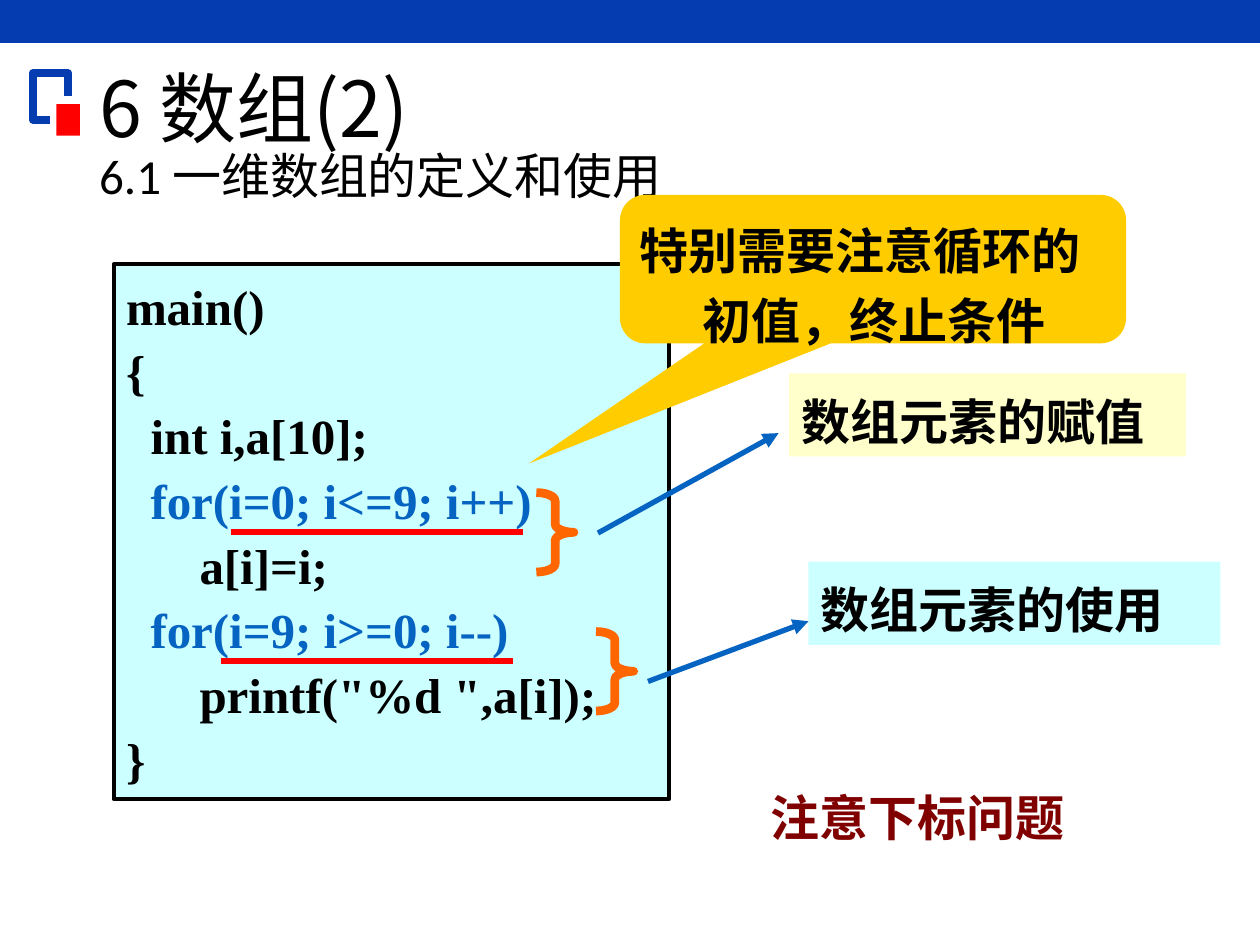
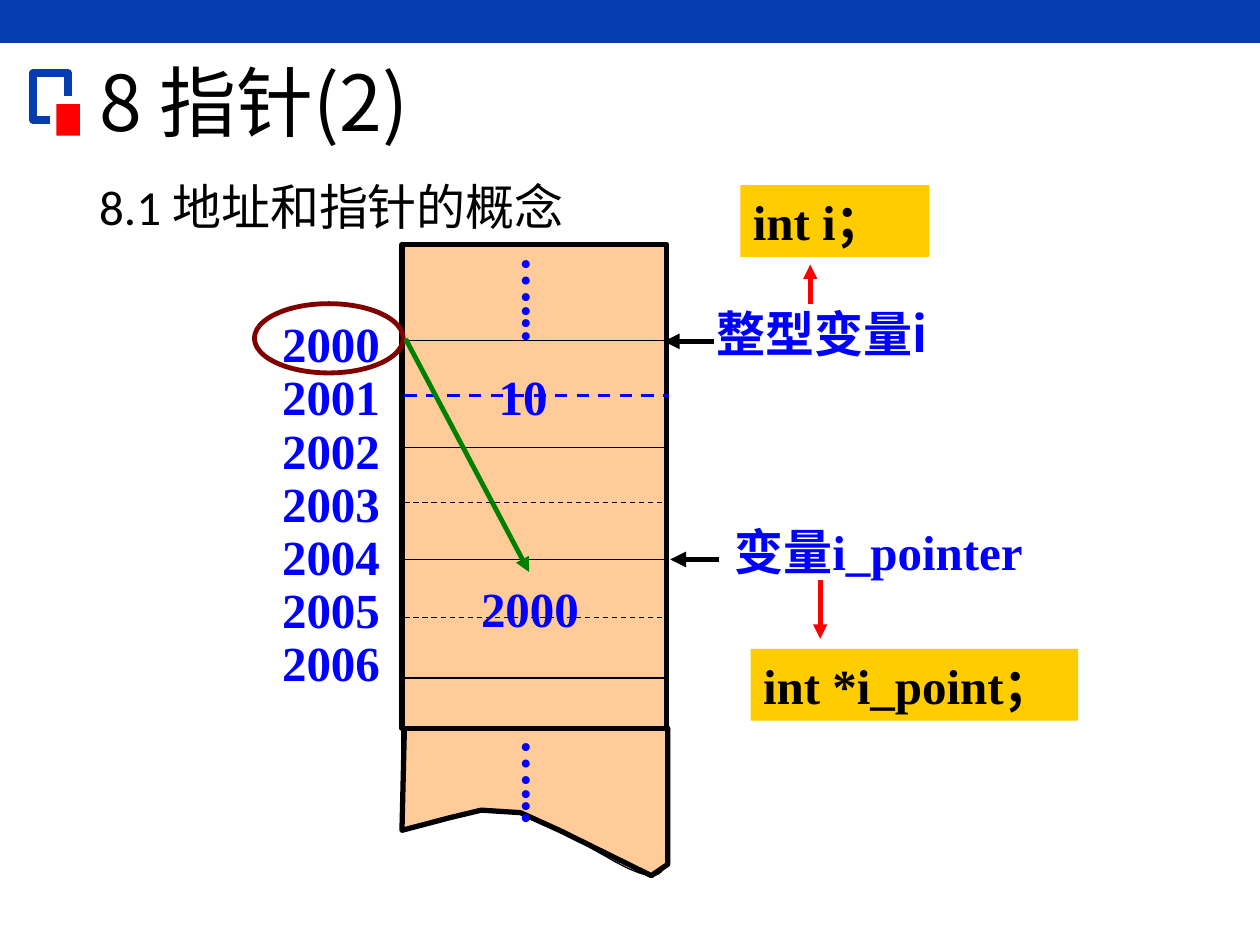
"""Build two lecture slides on arrays and pointers in C."""
import dataclasses
import typing

import lxml.etree
import pptx
import pptx.dml.color
import pptx.enum.dml
import pptx.enum.shapes
import pptx.enum.text
import pptx.oxml.ns
import pptx.shapes.base
import pptx.slide
import pptx.util

Pt = pptx.util.Pt
RGB = pptx.dml.color.RGBColor
SHAPES = pptx.enum.shapes.MSO_SHAPE
ANCHOR = pptx.enum.text.MSO_ANCHOR
AUTO_SIZE = pptx.enum.text.MSO_AUTO_SIZE
qn = pptx.oxml.ns.qn

BLACK = RGB(0x00, 0x00, 0x00)
BAND_BLUE = RGB(0x05, 0x3C, 0xAF)
LINK_BLUE = RGB(0x05, 0x63, 0xC1)
MEMORY_BLUE = RGB(0x00, 0x00, 0xFF)
RED = RGB(0xFF, 0x00, 0x00)
MAROON = RGB(0x80, 0x00, 0x00)
GREEN = RGB(0x00, 0x80, 0x00)
ORANGE = RGB(0xFF, 0x66, 0x00)
GOLD = RGB(0xFF, 0xCC, 0x00)
CREAM = RGB(0xFF, 0xFF, 0xCC)
PALE_CYAN = RGB(0xCC, 0xFF, 0xFF)
PEACH = RGB(0xFF, 0xCC, 0x99)

CJK = "Noto Sans CJK SC"
SERIF = "Times New Roman"
SANS = "Arial"

Point = tuple[float, float]
NOTE = dict(font=SANS, bold=True, left_indent=36, first_indent=-36, line_spacing=1.2, before_percent=50)
CODE = dict(font=SERIF, bold=True)
MEMORY = dict(font=SERIF, bold=True, color=MEMORY_BLUE)
DECLARATION = dict(font=SERIF, bold=True, before_percent=50)


class Box(typing.NamedTuple):
    left: float
    top: float
    width: float
    height: float

    def lengths(self) -> list[pptx.util.Length]:
        return [Pt(value) for value in self]


@dataclasses.dataclass
class Label:
    text: str
    box: Box
    style: dict
    fill: RGB | None = None
    wrap: bool = True
    anchor: ANCHOR = ANCHOR.TOP
    vertical: bool = False


@dataclasses.dataclass
class Stroke:
    start: Point
    end: Point
    color: RGB = BLACK
    width: float = 0.75
    arrow: bool = False
    dashed: bool = False


def write_text(frame, text: str, *, font: str, size: float = 28, color: RGB = BLACK,
               bold: bool = False, left_indent: float = 0, first_indent: float = 0,
               line_spacing: float | None = None, before: float | None = None,
               before_percent: int | None = None) -> None:
    paragraph = frame.add_paragraph() if frame.text else frame.paragraphs[0]
    paragraph.alignment = pptx.enum.text.PP_ALIGN.LEFT
    if line_spacing:
        paragraph.line_spacing = line_spacing
    if before is not None:
        paragraph.space_before = Pt(before)
    properties = paragraph._p.get_or_add_pPr()
    if before_percent:
        paragraph.space_before = Pt(0)
        spacing = properties.find(qn("a:spcBef"))
        spacing.clear()
        lxml.etree.SubElement(spacing, qn("a:spcPct"), val=str(before_percent * 1000))
    properties.set("marL", str(Pt(left_indent)))
    properties.set("indent", str(Pt(first_indent)))
    lxml.etree.SubElement(properties, qn("a:buNone"))
    run = paragraph.add_run()
    run.text = text
    run.font.size = Pt(size)
    run.font.bold = bold
    run.font.color.rgb = color
    run.font.name = font
    lxml.etree.SubElement(run.font._element, qn("a:ea"), typeface=CJK)


def paint(shape, fill: RGB | None = None, line: RGB | None = None, width: float = 0) -> None:
    shape.shadow.inherit = False
    if fill is None:
        shape.fill.background()
    else:
        shape.fill.solid()
        shape.fill.fore_color.rgb = fill
    if line is None:
        shape.line.fill.background()
    else:
        shape.line.color.rgb = line
        shape.line.width = Pt(width)


def add_figure(slide: pptx.slide.Slide, kind: SHAPES, box: Box, *, fill: RGB | None = None,
               line: RGB | None = None, width: float = 0,
               adjustments: tuple[float, ...] = ()) -> pptx.shapes.base.BaseShape:
    figure = slide.shapes.add_shape(kind, *box.lengths())
    paint(figure, fill, line, width)
    for index, value in enumerate(adjustments):
        figure.adjustments[index] = value
    return figure


def add_outline(slide: pptx.slide.Slide, points: list[Point], *, closed: bool = False,
                fill: RGB | None = None, line: RGB = BLACK,
                width: float = 0.75) -> pptx.shapes.base.BaseShape:
    corners = [(Pt(x), Pt(y)) for x, y in points]
    builder = slide.shapes.build_freeform(*corners[0])
    builder.add_line_segments(corners[1:], close=closed)
    outline = builder.convert_to_shape()
    paint(outline, fill, line, width)
    return outline


def add_label(slide: pptx.slide.Slide, label: Label) -> None:
    if label.fill is None:
        holder = slide.shapes.add_textbox(*label.box.lengths())
    else:
        holder = add_figure(slide, SHAPES.RECTANGLE, label.box, fill=label.fill)
    frame = holder.text_frame
    frame.word_wrap = label.wrap
    frame.vertical_anchor = label.anchor
    frame.auto_size = AUTO_SIZE.SHAPE_TO_FIT_TEXT
    if label.vertical:
        frame._txBody.bodyPr.set("vert", "eaVert")
    write_text(frame, label.text, **label.style)


def add_stroke(slide: pptx.slide.Slide, stroke: Stroke) -> None:
    ends = [Pt(value) for value in (*stroke.start, *stroke.end)]
    connector = slide.shapes.add_connector(pptx.enum.shapes.MSO_CONNECTOR.STRAIGHT, *ends)
    connector.line.color.rgb = stroke.color
    connector.line.width = Pt(stroke.width)
    if stroke.dashed:
        connector.line.dash_style = pptx.enum.dml.MSO_LINE.DASH
    properties = connector.element.spPr
    if stroke.arrow:
        lxml.etree.SubElement(properties.find(qn("a:ln")), qn("a:tailEnd"), type="triangle")
    lxml.etree.SubElement(properties, qn("a:effectLst"))


def decorate_layout(layout: pptx.slide.SlideLayout, slide: pptx.slide.Slide) -> None:
    band = add_figure(slide, SHAPES.RECTANGLE, Box(0, 0, 720, 24.5), fill=BAND_BLUE)
    bracket = add_outline(slide, [(28.7, 68.4), (18.7, 68.4), (18.7, 41.8), (38.9, 41.8), (38.9, 54.7)],
                          line=BAND_BLUE, width=4.5)
    square = add_figure(slide, SHAPES.RECTANGLE, Box(32.2, 59.5, 13.4, 18), fill=RED)
    for position, part in enumerate((band, bracket, square), start=2):
        layout.shapes.element.insert(position, part.element)


def fill_headings(slide: pptx.slide.Slide, title: str, section: str,
                  title_height: float, section_top: float) -> None:
    heading, body = slide.placeholders
    for holder, box, anchor in (
        (heading, Box(49.5, 28.8, 621, title_height), ANCHOR.MIDDLE),
        (body, Box(49.5, section_top, 621, 342.7), ANCHOR.TOP),
    ):
        holder.left, holder.top, holder.width, holder.height = box.lengths()
        holder.text_frame.vertical_anchor = anchor
        holder.text_frame.auto_size = AUTO_SIZE.NONE
    write_text(heading.text_frame, title, font=CJK, size=44, line_spacing=0.9, before=0)
    write_text(body.text_frame, section, font="Calibri", left_indent=18, first_indent=-18,
               line_spacing=0.9, before=10)


def build_array_slide(slide: pptx.slide.Slide) -> None:
    fill_headings(slide, "6 数组(2)", "6.1 一维数组的定义和使用", 71.3, 83.5)
    listing = add_figure(slide, SHAPES.RECTANGLE, Box(64.9, 151, 317.5, 305.6),
                         fill=PALE_CYAN, line=BLACK, width=2.25).text_frame
    listing.word_wrap = True
    listing.vertical_anchor = ANCHOR.TOP
    listing.auto_size = AUTO_SIZE.SHAPE_TO_FIT_TEXT
    for code, depth, color in (
        ("main()", 0, BLACK),
        ("{", 0, BLACK),
        ("int i,a[10];", 14, BLACK),
        ("for(i=0; i<=9; i++)", 14, LINK_BLUE),
        ("a[i]=i;", 42, BLACK),
        ("for(i=9; i>=0; i--)", 14, LINK_BLUE),
        ('printf("%d ",a[i]);', 42, BLACK),
        ("}", 0, BLACK),
    ):
        write_text(listing, code, color=color, left_indent=depth, line_spacing=1.1, **CODE)
    for note in (
        Label("数组元素的赋值", Box(450.9, 213.4, 226.8, 47.5), NOTE, CREAM),
        Label("数组元素的使用", Box(462, 321, 235.4, 47.5), NOTE, PALE_CYAN),
        Label("注意下标问题", Box(433.4, 439.9, 187.2, 47.5), NOTE | dict(color=MAROON)),
    ):
        add_label(slide, note)
    for left, top in ((306.5, 281.5), (340.6, 360.9)):
        add_figure(slide, SHAPES.RIGHT_BRACE, Box(left, top, 21.5, 45.4),
                   line=ORANGE, width=5, adjustments=(0.22, 0.5))
    callout = add_figure(slide, SHAPES.ROUNDED_RECTANGULAR_CALLOUT, Box(354.3, 111.4, 289.2, 84.8),
                         fill=GOLD, adjustments=(-0.68, 1.31, 0.17)).text_frame
    callout.word_wrap = True
    callout.vertical_anchor = ANCHOR.TOP
    write_text(callout, "特别需要注意循环的初值，终止条件", **NOTE)
    for stroke in (
        Stroke((341.7, 304.6), (444.9, 247.5), LINK_BLUE, 3, arrow=True),
        Stroke((370.3, 389.4), (462, 355), LINK_BLUE, 3, arrow=True),
        Stroke((132, 304), (299, 304), RED, 3),
        Stroke((126, 377.8), (293, 377.8), RED, 3),
    ):
        add_stroke(slide, stroke)


def curve_points(start: Point, first: Point, second: Point, end: Point, steps: int = 8) -> list[Point]:
    return [
        tuple((1 - t) ** 3 * a + 3 * (1 - t) ** 2 * t * b + 3 * (1 - t) * t ** 2 * c + t ** 3 * d
              for a, b, c, d in zip(start, first, second, end))
        for t in (step / steps for step in range(steps + 1))
    ]


def build_pointer_slide(slide: pptx.slide.Slide) -> None:
    fill_headings(slide, "8 指针(2)", "8.1 地址和指针的概念", 64.1, 100.8)
    add_outline(slide, curve_points((229.7, 475.2), (249.8, 467.3), (269.3, 459.4), (292.3, 463.7))
                + curve_points((292.3, 463.7), (314.6, 467.3), (350.6, 494.6), (365.8, 499))[1:]
                + curve_points((365.8, 499), (380.9, 504), (378.7, 493.2), (380.9, 491.8))[1:])
    add_outline(slide, [(231.1, 416.2), (381.6, 416.2), (381.6, 493.9), (372.2, 500.4), (319.7, 474.5),
                        (297.4, 464.4), (275, 463), (257, 467.3), (229.7, 474.5)],
                closed=True, fill=PEACH, width=3)
    add_figure(slide, SHAPES.RECTANGLE, Box(229.7, 139.7, 151.2, 276.5), fill=PEACH, line=BLACK, width=3)
    for y in (194.4, 255.6, 319.7, 387.4):
        add_stroke(slide, Stroke((231.1, y), (382.3, y)))
    for y, color, width in ((226.1, MEMORY_BLUE, 1.75), (287.3, BLACK, 0.75), (352.8, BLACK, 0.75)):
        add_stroke(slide, Stroke((231.1, y), (382.3, y), color, width, dashed=True))
    for x, bottom in ((229.7, 474.5), (380.9, 492.5)):
        add_stroke(slide, Stroke((x, 417.6), (x, bottom)))

    for top in (139.7, 415.4):
        add_label(slide, Label("…...", Box(285.8, top, 48.2, 56.2), MEMORY,
                               wrap=False, anchor=ANCHOR.MIDDLE, vertical=True))
    addresses = [(str(2000 + row), Box(154.1, 175.7 + 30.36 * row, 70.6, 41)) for row in range(7)]
    contents = [("10", Box(277.9, 205.9, 42.5, 41)), ("2000", Box(267.8, 326.9, 70.6, 41))]
    for text, box in addresses + contents:
        add_label(slide, Label(text, box, MEMORY, wrap=False, anchor=ANCHOR.MIDDLE))
    for label in (
        Label("整型变量i", Box(402.5, 169.9, 145.4, 41), MEMORY | dict(font=CJK)),
        Label("变量i_pointer", Box(412.6, 294.5, 200.2, 41), MEMORY),
        Label("int i；", Box(423.1, 105.8, 108, 41), DECLARATION, GOLD),
        Label("int *i_point；", Box(429, 370.8, 187.2, 41), DECLARATION, GOLD),
    ):
        add_label(slide, label)
    add_figure(slide, SHAPES.OVAL, Box(145.4, 173.5, 85, 39.6), line=MAROON, width=2.75)
    for start, end, color, width in (
        ((408.2, 195.1), (379.4, 195.1), BLACK, 3),
        ((411.1, 319.7), (383, 319.7), BLACK, 3),
        ((463, 173.5), (463, 151.2), RED, 2.75),
        ((468.7, 331.2), (468.7, 365), RED, 2.75),
        ((231.8, 193.7), (302.4, 326.9), GREEN, 2.75),
    ):
        add_stroke(slide, Stroke(start, end, color, width, arrow=True))


def main() -> None:
    deck = pptx.Presentation()
    deck.slide_width, deck.slide_height = Pt(720), Pt(540)
    layout = deck.slide_layouts[1]
    array_slide, pointer_slide = (deck.slides.add_slide(layout) for _ in range(2))
    decorate_layout(layout, array_slide)
    build_array_slide(array_slide)
    build_pointer_slide(pointer_slide)
    deck.save("out.pptx")


if __name__ == "__main__":
    main()
